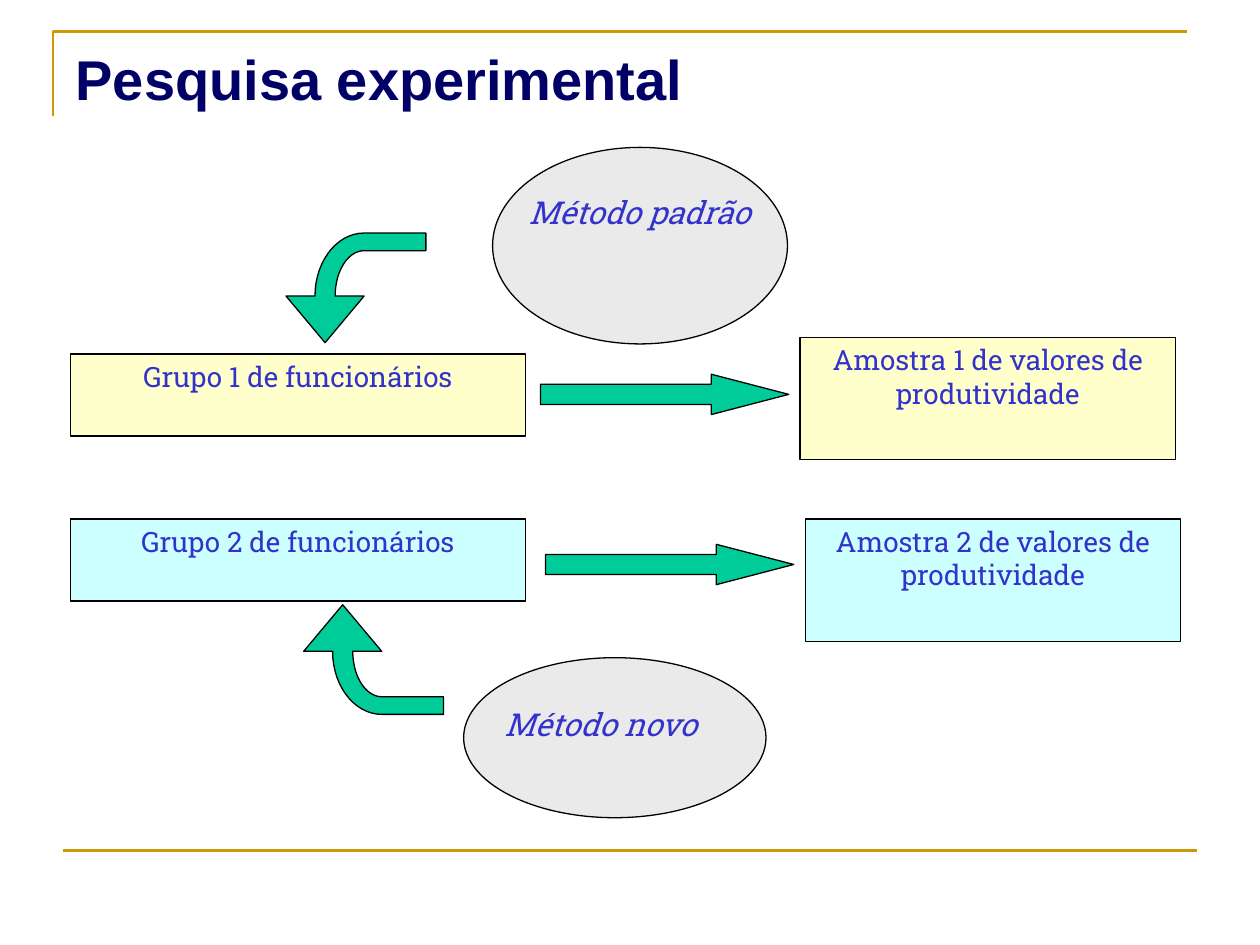
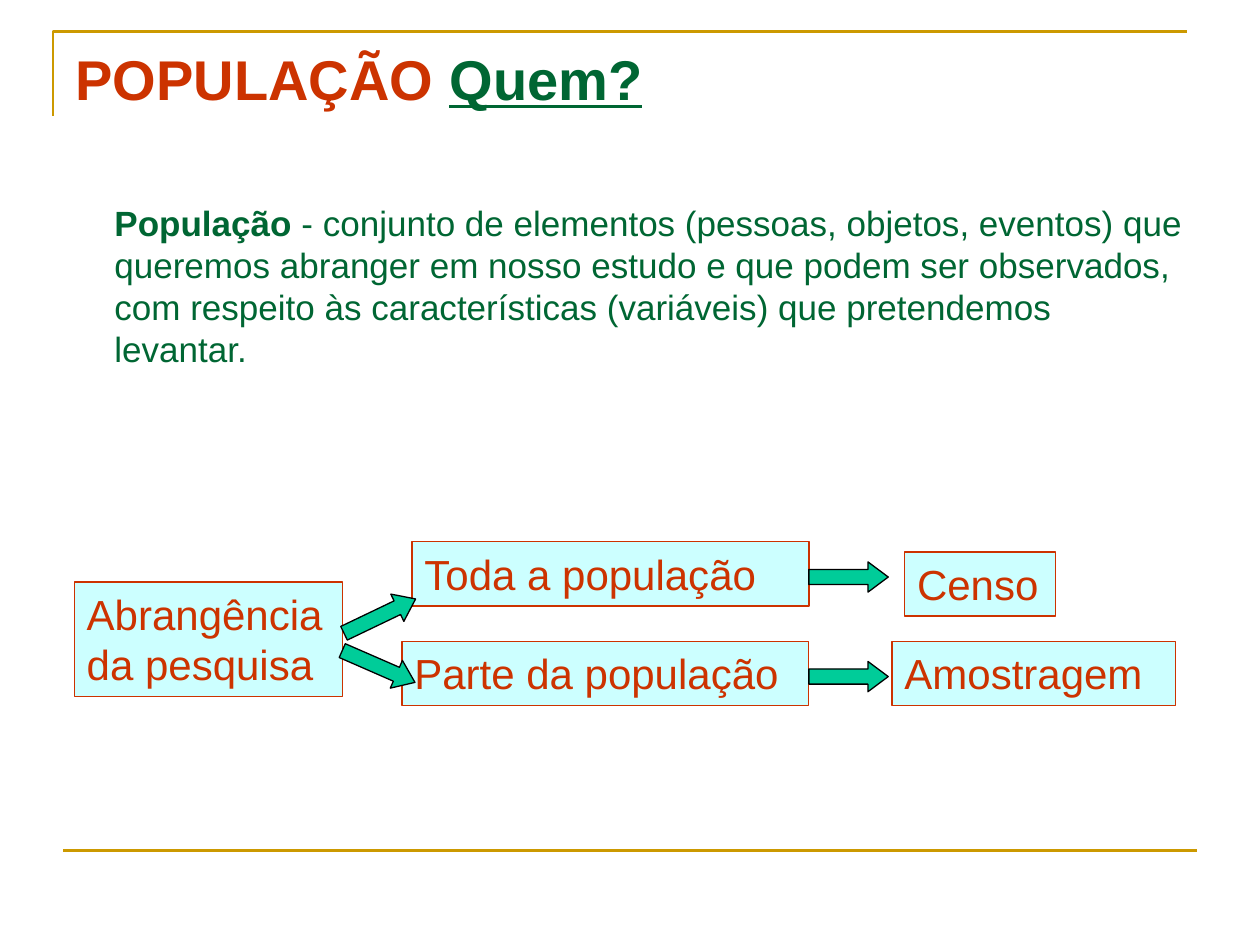
from math import cos, radians, sin

from lxml.etree import SubElement
from pptx import Presentation
from pptx.dml.color import RGBColor
from pptx.enum.shapes import MSO_CONNECTOR, MSO_SHAPE
from pptx.enum.text import MSO_ANCHOR, MSO_AUTO_SIZE, PP_ALIGN
from pptx.oxml.ns import qn
from pptx.util import Inches, Pt

COLORS = {
    "gold": "CC9900", "navy": "000066", "red": "CC3300", "green": "006633",
    "blue": "3333CC", "black": "000000", "gray": "EAEAEA",
    "yellow": "FFFFCC", "cyan": "CCFFFF", "arrow": "00CC99",
}
SANS, SLAB = "Arial", "Roboto Slab"


def rgb(name):
    return RGBColor.from_string(COLORS[name])


class Deck:
    def __init__(self):
        self.prs = Presentation()
        self.prs.slide_width, self.prs.slide_height = Inches(10), Inches(7.5)
        self.s = None

    def slide(self, *title_runs):
        self.s = self.prs.slides.add_slide(self.prs.slide_layouts[5])
        self.outline([(0.42, 0.92), (0.42, 0.25), (9.42, 0.25)], None, "gold", 1.5, close=False)
        rule = self.s.shapes.add_connector(
            MSO_CONNECTOR.STRAIGHT, Inches(0.5), Inches(6.75), Inches(9.5), Inches(6.75))
        rule.line.color.rgb = rgb("gold")
        rule.line.width = Pt(1.5)
        SubElement(rule._element.spPr, qn("a:effectLst"))
        title = self.s.shapes.title
        title.left, title.top, title.width, title.height = map(Inches, (0.5, 0.3, 9, 1.5))
        self.frame(title.text_frame)
        p = title.text_frame.paragraphs[0]
        p.alignment = PP_ALIGN.LEFT
        for text, color, underline in title_runs:
            r = p.add_run()
            r.text = text
            self.font(r, 32, color, bold=True, underline=underline)

    def frame(self, tf, side=0.1, edge=0.05):
        tf.word_wrap = True
        tf.auto_size = MSO_AUTO_SIZE.NONE
        tf.vertical_anchor = MSO_ANCHOR.TOP
        tf.margin_left = tf.margin_right = Inches(side)
        tf.margin_top = tf.margin_bottom = Inches(edge)

    def font(self, r, size, color, name=SANS, bold=False, italic=False, underline=False):
        r.font.size, r.font.name = Pt(size), name
        r.font.bold, r.font.italic, r.font.underline = bold, italic, underline
        r.font.color.rgb = rgb(color)

    def label(self, tf, text, size, color, align=PP_ALIGN.LEFT, **style):
        tf.text = text
        for p in tf.paragraphs:
            p.alignment = align
            for r in p.runs:
                self.font(r, size, color, **style)

    def paint(self, sp, fill, line, width=0.75):
        sp.shadow.inherit = False
        if fill:
            sp.fill.solid()
            sp.fill.fore_color.rgb = rgb(fill)
        else:
            sp.fill.background()
        sp.line.color.rgb = rgb(line)
        sp.line.width = Pt(width)

    def shape(self, kind, box, fill, line="black"):
        sp = self.s.shapes.add_shape(kind, *map(Inches, box))
        self.paint(sp, fill, line)
        return sp

    def outline(self, points, fill, line, width=0.75, close=True):
        points = [(Inches(x), Inches(y)) for x, y in points]
        fb = self.s.shapes.build_freeform(*points[0])
        fb.add_line_segments(points[1:], close=close)
        self.paint(fb.convert_to_shape(), fill, line, width)

    def group_box(self, text, box, fill):
        sp = self.shape(MSO_SHAPE.RECTANGLE, box, fill)
        self.frame(sp.text_frame, 0.04, 0.04)
        self.label(sp.text_frame, text, 16, "blue", PP_ALIGN.CENTER, name=SLAB)

    def step_box(self, text, box):
        sp = self.shape(MSO_SHAPE.RECTANGLE, box, "cyan", "red")
        self.frame(sp.text_frame)
        self.label(sp.text_frame, text, 24, "red")

    def method(self, text, oval, caption):
        self.shape(MSO_SHAPE.OVAL, oval, "gray")
        tb = self.s.shapes.add_textbox(*map(Inches, caption))
        self.frame(tb.text_frame)
        self.label(tb.text_frame, text, 18, "blue", PP_ALIGN.CENTER, name=SLAB, italic=True)

    def arrow(self, box, head, rotation=0):
        sp = self.shape(MSO_SHAPE.RIGHT_ARROW, box, "arrow")
        sp.adjustments[1] = head
        sp.rotation = rotation

    def curved_arrow(self, x, y, direction):
        angles = [radians(a) for a in range(0, 91, 6)]
        outer = [(0.31 - 0.39 * cos(a), 0.37 + 0.5 * sin(a)) for a in angles]
        inner = [(0.31 - 0.23 * cos(a), 0.37 + 0.36 * sin(a)) for a in reversed(angles)]
        points = [(0, 0), (-0.31, 0.37), *outer, (0.8, 0.87), (0.8, 0.73), *inner, (0.31, 0.37)]
        self.outline([(x + dx, y + direction * dy) for dx, dy in points], "arrow", "black")

    def definition(self, term, text, box):
        tb = self.s.shapes.add_textbox(*map(Inches, box))
        self.frame(tb.text_frame)
        p = tb.text_frame.paragraphs[0]
        p.space_before = Pt(7)
        p._p.get_or_add_pPr().set("marL", str(Inches(0.38)))
        for part, bold in ((term, True), (text, False)):
            r = p.add_run()
            r.text = part
            self.font(r, 20, "green", bold=bold)


def experiment(deck):
    deck.slide(("Pesquisa experimental", "navy", False))
    rows = [
        (1, "yellow", 2.81, (6.35, 2.68), (4.29, 2.97)),
        (2, "cyan", 4.12, (6.39, 4.12), (4.33, 4.32)),
    ]
    for n, fill, top, sample, arrow in rows:
        deck.group_box(f"Grupo {n} de funcionários", (0.56, top, 3.61, 0.65), fill)
        deck.group_box(f"Amostra {n} de valores de produtividade", (*sample, 2.98, 0.97), fill)
        deck.arrow((*arrow, 1.97, 0.32), 1.92)
    deck.curved_arrow(2.72, 4.8, 1)
    deck.curved_arrow(2.58, 2.72, -1)
    deck.method("Método novo", (3.68, 5.22, 2.4, 1.27), (3.67, 5.55, 2.19, 0.4))
    deck.method("Método padrão", (3.91, 1.17, 2.34, 1.56), (3.67, 1.48, 2.81, 0.4))


def population(deck):
    deck.slide(("POPULAÇÃO ", "red", False), ("Quem?", "green", True))
    deck.definition(
        "População ",
        "- conjunto de elementos (pessoas, objetos, eventos) que queremos abranger em nosso "
        "estudo e que podem ser observados, com respeito às características (variáveis) que "
        "pretendemos levantar.",
        (0.43, 1.55, 9.07, 2.52))
    steps = [
        ("Abrangência\nda pesquisa", (0.59, 4.62, 2.13, 0.91)),
        ("Toda a população", (3.27, 4.3, 3.15, 0.51)),
        ("Censo", (7.18, 4.38, 1.2, 0.51)),
        ("Parte da população", (3.19, 5.09, 3.23, 0.51)),
        ("Amostragem", (7.08, 5.09, 2.25, 0.51)),
    ]
    for text, box in steps:
        deck.step_box(text, box)
    for x, y, rotation in ((6.42, 4.46, 0), (6.42, 5.25, 0), (2.69, 5.17, 23.6), (2.7, 4.77, 334.4)):
        deck.arrow((x, y, 0.63, 0.24), 0.67, rotation)


def main():
    deck = Deck()
    experiment(deck)
    population(deck)
    deck.prs.save("out.pptx")


if __name__ == "__main__":
    main()
